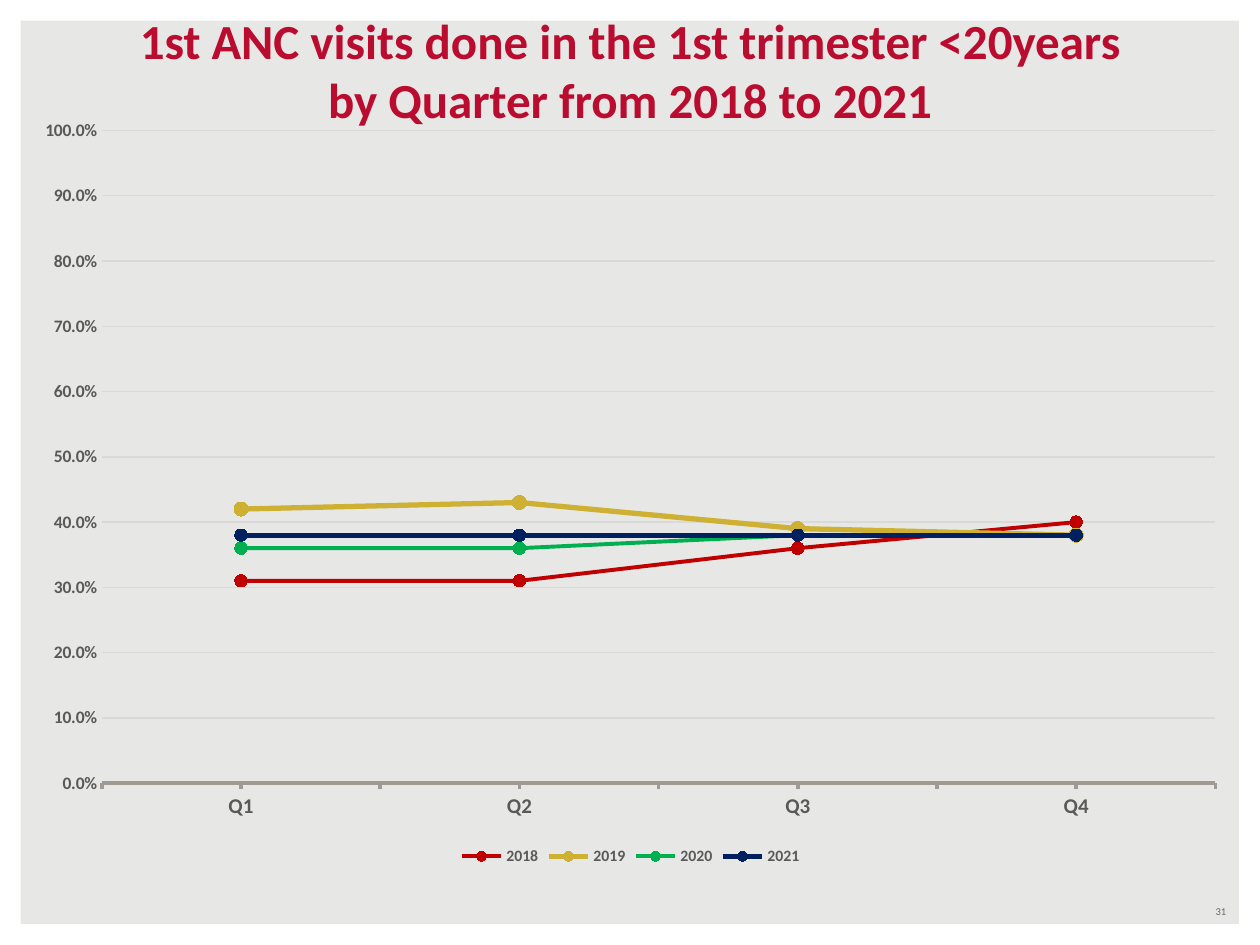
from lxml import etree
from pptx import Presentation
from pptx.chart.data import CategoryChartData
from pptx.dml.color import RGBColor
from pptx.enum.chart import XL_CHART_TYPE, XL_LEGEND_POSITION, XL_MARKER_STYLE, XL_TICK_MARK
from pptx.enum.shapes import MSO_SHAPE
from pptx.enum.text import MSO_ANCHOR, MSO_AUTO_SIZE, PP_ALIGN
from pptx.oxml.ns import qn
from pptx.util import Inches, Pt

LINE_MARKERS = XL_CHART_TYPE.LINE_MARKERS
CIRCLE = XL_MARKER_STYLE.CIRCLE
TICK_NONE, TICK_OUTSIDE = XL_TICK_MARK.NONE, XL_TICK_MARK.OUTSIDE
LEGEND_BOTTOM = XL_LEGEND_POSITION.BOTTOM
FRAME = MSO_SHAPE.FRAME
MIDDLE, BOTTOM = MSO_ANCHOR.MIDDLE, MSO_ANCHOR.BOTTOM
NO_AUTOFIT = MSO_AUTO_SIZE.NONE
CENTER, RIGHT = PP_ALIGN.CENTER, PP_ALIGN.RIGHT
FONT = "Calibri"


def color(hex_text):
    return RGBColor.from_string(hex_text)


def style_font(font, size, hex_text, bold=False):
    font.name = FONT
    font.size = Pt(size)
    font.bold = bold
    font.color.rgb = color(hex_text)


deck = Presentation()
deck.slide_width, deck.slide_height = Inches(10), Inches(7.5)
slide = deck.slides.add_slide(deck.slide_layouts[5])
slide.background.fill.solid()
slide.background.fill.fore_color.rgb = color("E7E7E5")

# White border, placed behind everything else
border = slide.shapes.add_shape(FRAME, 0, 0, Inches(10), Inches(7.5))
border.adjustments[0] = 0.022
border.shadow.inherit = False
border.fill.solid()
border.fill.fore_color.rgb = color("FFFFFF")
border.line.fill.background()
slide.shapes._spTree.insert(2, border._element)

# Slide number
number_box = slide.shapes.add_textbox(Inches(7.5), Inches(7.13), Inches(2.33), Inches(0.2))
number_box.text_frame.word_wrap = True
number_box.text_frame.vertical_anchor = MIDDLE
number_box.text_frame.text = "31"
number_para = number_box.text_frame.paragraphs[0]
number_para.alignment = RIGHT
style_font(number_para.font, 6, "6C6463")

# Title
title = slide.shapes.title
title.left, title.top = Inches(0.29), Inches(0.03)
title.width, title.height = Inches(9.42), Inches(1.04)
title_frame = title.text_frame
title_frame.auto_size = NO_AUTOFIT
title_frame.vertical_anchor = BOTTOM
title_frame.text = "1st ANC visits done in the 1st trimester <20years\vby Quarter from 2018 to 2021"
title_para = title_frame.paragraphs[0]
title_para.alignment = CENTER
style_font(title_para.font, 28, "BA0C2F", bold=True)

# Chart data: name, quarterly shares, colour, line width, marker size
years = [
    ("2018", (0.31, 0.31, 0.36, 0.40), "C00000", 2.25, 7),
    ("2019", (0.42, 0.43, 0.39, 0.38), "CEB032", 3, 8),
    ("2020", (0.36, 0.36, 0.38, 0.38), "00B050", 2.25, 7),
    ("2021", (0.38, 0.38, 0.38, 0.38), "002060", 2.75, 7),
]
data = CategoryChartData(number_format="0.0%")
data.categories = ["Q1", "Q2", "Q3", "Q4"]
for name, shares, *_ in years:
    data.add_series(name, shares)

chart = slide.shapes.add_chart(
    LINE_MARKERS, Inches(0.17), Inches(0.83), Inches(9.67), Inches(6.08), data
).chart
style_font(chart.font, 10, "000000")
chart.has_title = False
chart.plots[0].vary_by_categories = False

# Lines and markers
for series, (_, _, hex_text, width, marker_size) in zip(chart.plots[0].series, years):
    series.smooth = False
    series.format.line.color.rgb = color(hex_text)
    series.format.line.width = Pt(width)
    marker = series.marker
    marker.style = CIRCLE
    marker.size = marker_size
    marker.format.fill.solid()
    marker.format.fill.fore_color.rgb = color(hex_text)
    marker.format.line.color.rgb = color(hex_text)

# Axes
quarter_axis = chart.category_axis
quarter_axis.major_tick_mark = TICK_NONE
quarter_axis.minor_tick_mark = TICK_OUTSIDE
quarter_axis.format.line.color.rgb = color("9F9B93")
quarter_axis.format.line.width = Pt(2)
style_font(quarter_axis.tick_labels.font, 12, "595959", bold=True)

share_axis = chart.value_axis
share_axis.minimum_scale, share_axis.maximum_scale, share_axis.major_unit = 0, 1, 0.1
share_axis.major_tick_mark = TICK_NONE
share_axis.format.line.fill.background()
share_axis.major_gridlines.format.line.color.rgb = color("D9D9D9")
share_axis.major_gridlines.format.line.width = Pt(0.75)
share_axis.tick_labels.number_format = "0.0%"
share_axis.tick_labels.number_format_is_linked = False
style_font(share_axis.tick_labels.font, 10, "595959", bold=True)

# Legend
chart.has_legend = True
chart.legend.position = LEGEND_BOTTOM
chart.legend.include_in_layout = False
style_font(chart.legend.font, 9, "595959", bold=True)

# Fixed plot area, as fractions of the chart
plot_area = chart._chartSpace.chart.plotArea
for old_layout in plot_area.findall(qn("c:layout")):
    plot_area.remove(old_layout)
layout = etree.Element(qn("c:layout"))
manual = etree.SubElement(layout, qn("c:manualLayout"))
for tag, value in [("layoutTarget", "inner"), ("xMode", "edge"), ("yMode", "edge"),
                   ("x", "0.066"), ("y", "0.034"), ("w", "0.914"), ("h", "0.852")]:
    etree.SubElement(manual, qn(f"c:{tag}")).set("val", value)
plot_area.insert(0, layout)

deck.save("out.pptx")
